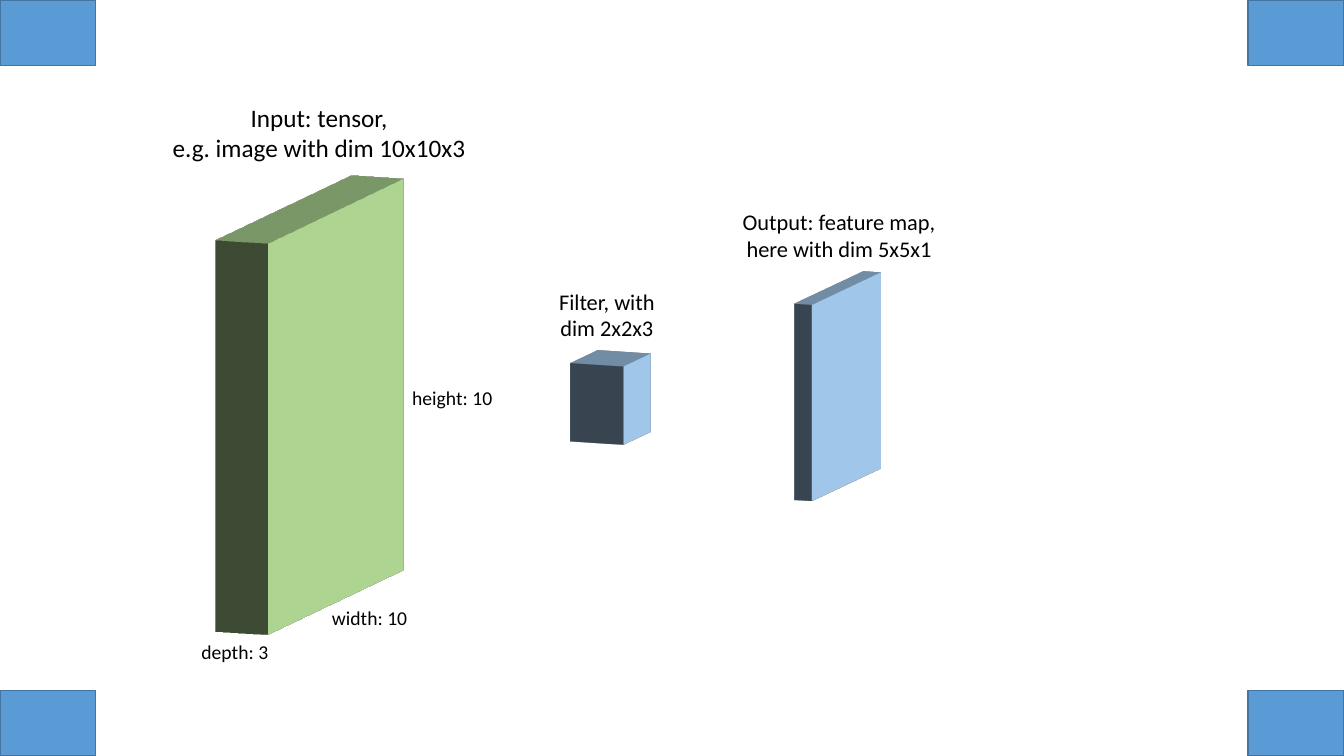
from dataclasses import dataclass
from itertools import product

from lxml import etree
from pptx import Presentation
from pptx.dml.color import RGBColor
from pptx.enum.shapes import MSO_SHAPE
from pptx.enum.text import MSO_AUTO_SIZE, PP_ALIGN
from pptx.oxml.ns import qn
from pptx.shapes.autoshape import Shape
from pptx.util import Inches, Pt

COLORS = {
    "text": "000000",
    "corner": "5B9BD5",
    "corner line": "43739E",
    "input": "A9D18E",
    "feature": "9DC3E6",
}

# Lengths are percentages of the slide's width (x) and height (y).
CORNER_WIDTH, CORNER_HEIGHT = 7.13, 8.67
CELL_WIDTH, CELL_HEIGHT = 2.955, 5.25
CELL_DEPTH = Pt(13.35)
DEGREE = 60000
TILT, TURN = 10 * DEGREE, 290 * DEGREE


@dataclass(frozen=True)
class Tensor:
    """A square front of side x side cells, extruded by depth cells."""
    x: float
    y: float
    side: int
    depth: int
    color: str


@dataclass(frozen=True)
class Label:
    text: str
    x: float
    y: float
    width: float
    height: float
    size: int
    align: PP_ALIGN = PP_ALIGN.LEFT


TENSORS = [
    Tensor(10.2, 27.6, 10, 3, "input"),
    Tensor(55.59, 38, 5, 1, "feature"),
    Tensor(44.41, 47.6, 2, 3, "feature"),
]
LABELS = [
    Label("Input: tensor,\ne.g. image with dim 10x10x3",
          11.96, 12.87, 23.56, 9.47, 18, PP_ALIGN.CENTER),
    Label("height: 10", 29.93, 50.37, 11.78, 4.53, 14),
    Label("width: 10", 23.96, 79.5, 11.78, 4.53, 14),
    Label("depth: 3", 14.25, 84, 7.35, 4.53, 14),
    Label("Output: feature map,\nhere with dim 5x5x1",
          50.65, 26.9, 23.56, 8.53, 16, PP_ALIGN.CENTER),
    Label("Filter, with\ndim 2x2x3",
          39.53, 37.4, 11.25, 8.53, 16, PP_ALIGN.CENTER),
]

prs = Presentation()
prs.slide_width, prs.slide_height = Inches(13.33), Inches(7.5)
slide = prs.slides.add_slide(prs.slide_layouts[6])


def across(share: float) -> int:
    return round(prs.slide_width * share / 100)


def down(share: float) -> int:
    return round(prs.slide_height * share / 100)


def rgb(name: str) -> RGBColor:
    return RGBColor.from_string(COLORS[name])


def add_rectangle(x: float, y: float, width: float, height: float,
                  color: str) -> Shape:
    rectangle = slide.shapes.add_shape(
        MSO_SHAPE.RECTANGLE, across(x), down(y), across(width), down(height))
    rectangle.shadow.inherit = False
    rectangle.fill.solid()
    rectangle.fill.fore_color.rgb = rgb(color)
    return rectangle


def draw_corner(x: float, y: float) -> None:
    corner = add_rectangle(x, y, CORNER_WIDTH, CORNER_HEIGHT, "corner")
    corner.line.color.rgb = rgb("corner line")
    corner.line.width = Pt(1)


def draw_tensor(tensor: Tensor) -> None:
    front = add_rectangle(tensor.x, tensor.y, tensor.side * CELL_WIDTH,
                          tensor.side * CELL_HEIGHT, tensor.color)
    front.line.fill.background()
    properties = front.element.spPr
    scene = etree.SubElement(properties, qn("a:scene3d"))
    camera = etree.SubElement(scene, qn("a:camera"), prst="orthographicFront")
    etree.SubElement(camera, qn("a:rot"),
                     lat=str(TILT), lon=str(TURN), rev="0")
    etree.SubElement(scene, qn("a:lightRig"), rig="threePt", dir="t")
    etree.SubElement(properties, qn("a:sp3d"),
                     extrusionH=str(tensor.depth * CELL_DEPTH))


def draw_label(label: Label) -> None:
    box = slide.shapes.add_textbox(across(label.x), down(label.y),
                                   across(label.width), down(label.height))
    frame = box.text_frame
    frame.word_wrap = True
    frame.auto_size = MSO_AUTO_SIZE.SHAPE_TO_FIT_TEXT
    frame.text = label.text
    for paragraph in frame.paragraphs:
        paragraph.alignment = label.align
        for run in paragraph.runs:
            run.font.name = "Calibri"
            run.font.size = Pt(label.size)
            run.font.color.rgb = rgb("text")


def main() -> None:
    for x, y in product((0, 100 - CORNER_WIDTH), (0, 100 - CORNER_HEIGHT)):
        draw_corner(x, y)
    for tensor in TENSORS:
        draw_tensor(tensor)
    for label in LABELS:
        draw_label(label)
    prs.save("out.pptx")


if __name__ == "__main__":
    main()
